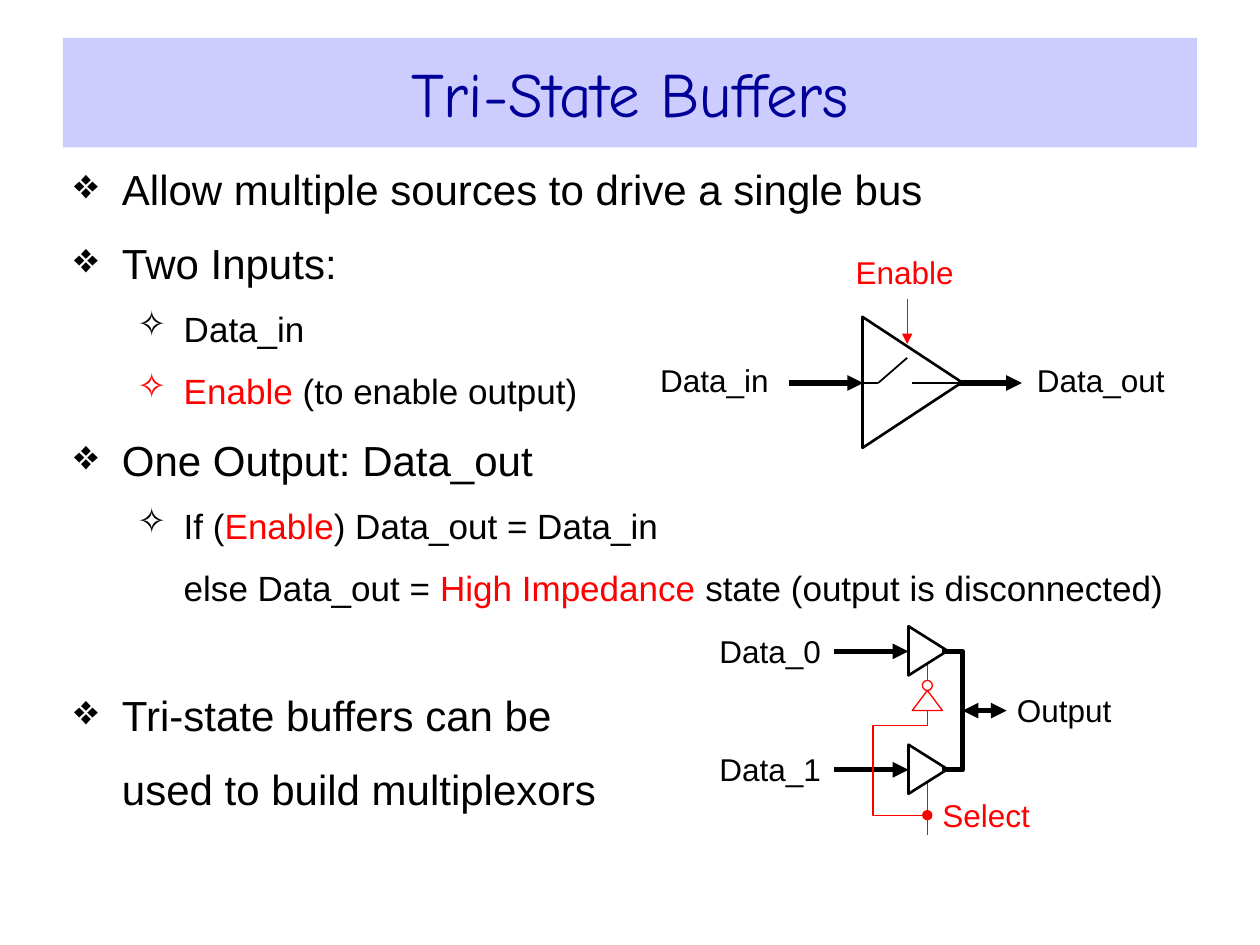
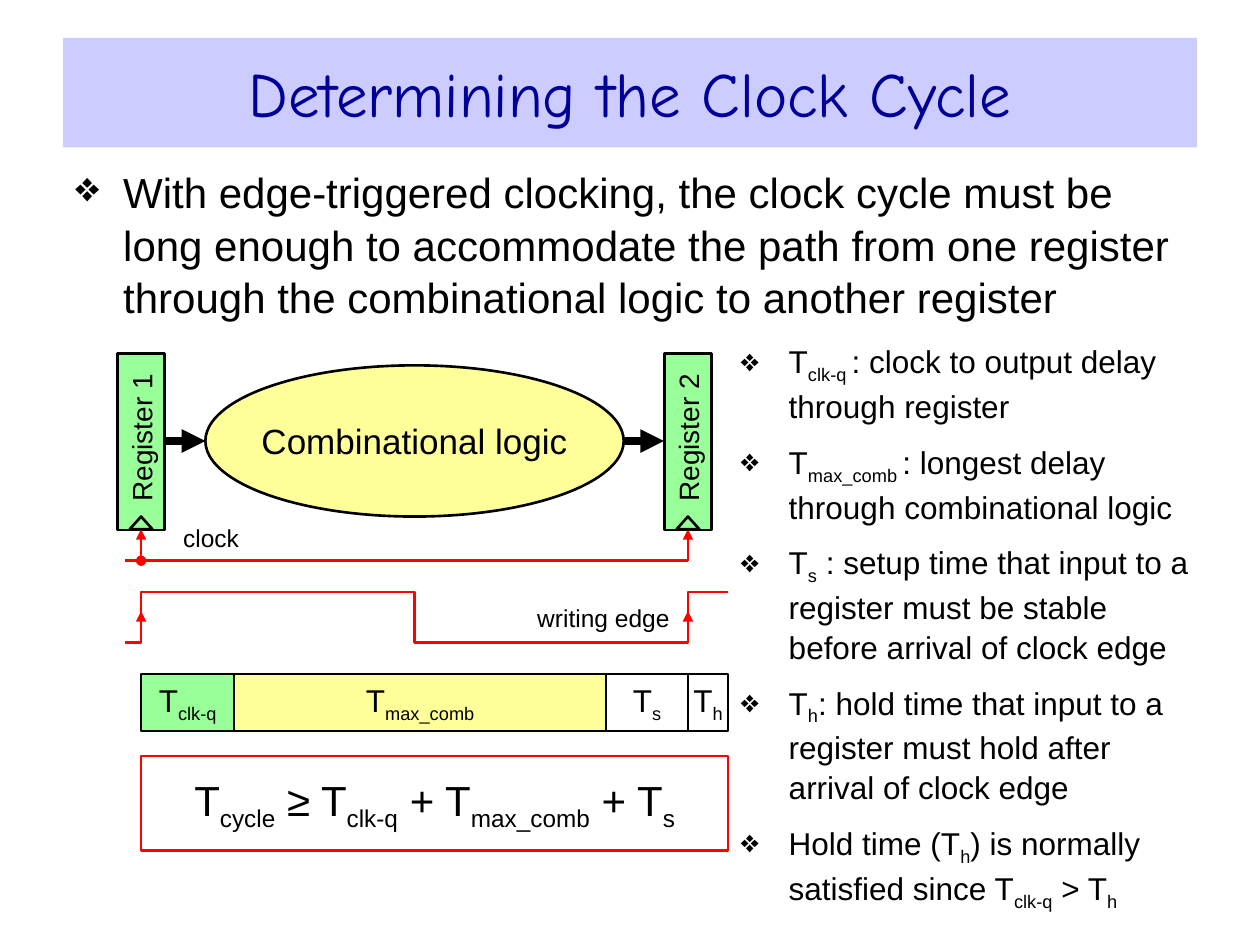
from dataclasses import dataclass
from typing import NamedTuple, Optional

from lxml import etree
from pptx import Presentation
from pptx.dml.color import RGBColor
from pptx.enum.shapes import MSO_CONNECTOR, MSO_SHAPE
from pptx.enum.text import MSO_ANCHOR, PP_ALIGN
from pptx.oxml.ns import qn
from pptx.util import Inches, Pt

RECT = MSO_SHAPE.RECTANGLE
OVAL = MSO_SHAPE.OVAL
GATE = MSO_SHAPE.ISOSCELES_TRIANGLE
LINE = MSO_CONNECTOR.STRAIGHT
LEFT = PP_ALIGN.LEFT
MID = PP_ALIGN.CENTER
TOP = MSO_ANCHOR.TOP
HALF = MSO_ANCHOR.MIDDLE


@dataclass(frozen=True)
class Theme:
    ink: str = "000000"
    red: str = "FF0000"
    white: str = "FFFFFF"
    green: str = "99FF99"
    cream: str = "FFFF99"
    band: str = "CCCCFF"
    navy: str = "000099"
    sans: str = "Arial"
    comic: str = "Comic Neue"
    title: int = 36
    body: int = 24
    item: int = 20
    label: int = 18
    reg: int = 16
    note: int = 14
    lead: float = 1.05


T = Theme()


class Run(NamedTuple):
    text: str
    color: str = T.ink
    sub: bool = False


class Box(NamedTuple):
    x: float
    y: float
    w: float
    h: float


@dataclass
class Para:
    runs: list[Run]
    size: int
    gap: float = 0
    left: float = 0
    hang: float = 0
    mark: str = ""
    align: PP_ALIGN = LEFT
    font: str = T.sans
    lead: Optional[float] = None


@dataclass
class Form:
    kind: MSO_SHAPE
    box: Box
    fill: Optional[str] = None
    line: Optional[str] = T.ink
    width: float = 1.5
    turn: int = 0


@dataclass
class Wire:
    points: list[tuple[float, float]]
    color: str = T.ink
    width: float = 3
    head: str = ""
    tail: str = ""


def paint(color: str) -> RGBColor:
    return RGBColor.from_string(color)


def place(box: Box) -> list[int]:
    return [Inches(side) for side in box]


def mark(para, item: Para) -> None:
    props = para._p.get_or_add_pPr()
    props.set("marL", str(Inches(item.left)))
    props.set("indent", str(Inches(-item.hang)))
    if item.mark:
        tint = etree.SubElement(props, qn("a:buClr"))
        etree.SubElement(tint, qn("a:srgbClr")).set("val", item.runs[0].color)
        etree.SubElement(props, qn("a:buChar")).set("char", item.mark)
    else:
        etree.SubElement(props, qn("a:buNone"))


def write(shape, items: list[Para], pad: tuple[float, float] = (0, 0),
          anchor: MSO_ANCHOR = HALF, wrap: bool = True) -> None:
    frame = shape.text_frame
    frame.word_wrap = wrap
    frame.vertical_anchor = anchor
    frame.margin_left = frame.margin_right = Inches(pad[0])
    frame.margin_top = frame.margin_bottom = Inches(pad[1])
    for spot, item in enumerate(items):
        para = frame.add_paragraph() if spot else frame.paragraphs[0]
        para.alignment = item.align
        para.space_before = Pt(item.gap if spot else 0)
        if item.lead:
            para.line_spacing = item.lead
        mark(para, item)
        for part in item.runs:
            run = para.add_run()
            run.text = part.text
            run.font.name = item.font
            run.font.size = Pt(item.size)
            run.font.color.rgb = paint(part.color)
            if part.sub:
                run._r.get_or_add_rPr().set("baseline", "-25000")


def draw(slide, form: Form):
    shape = slide.shapes.add_shape(form.kind, *place(form.box))
    shape.shadow.inherit = False
    shape.rotation = form.turn
    if form.fill:
        shape.fill.solid()
        shape.fill.fore_color.rgb = paint(form.fill)
    else:
        shape.fill.background()
    if form.line:
        shape.line.color.rgb = paint(form.line)
        shape.line.width = Pt(form.width)
    else:
        shape.line.fill.background()
    return shape


def link(slide, wire: Wire) -> None:
    spots = [(Inches(x), Inches(y)) for x, y in wire.points]
    if len(spots) == 2:
        shape = slide.shapes.add_connector(LINE, *spots[0], *spots[1])
        etree.SubElement(shape._element.spPr, qn("a:effectLst"))
    else:
        pen = slide.shapes.build_freeform(*spots[0])
        pen.add_line_segments(spots[1:], close=False)
        shape = pen.convert_to_shape()
        shape.shadow.inherit = False
        shape.fill.background()
    shape.line.color.rgb = paint(wire.color)
    shape.line.width = Pt(wire.width)
    edge = shape._element.spPr.find(qn("a:ln"))
    for tag, end in (("a:headEnd", wire.head), ("a:tailEnd", wire.tail)):
        if end:
            etree.SubElement(edge, qn(tag)).set("type", end)


def text(slide, box: Box, items: list[Para], **opts) -> None:
    write(slide.shapes.add_textbox(*place(box)), items, **opts)


def label(slide, box: Box, words: str, size: int = T.label,
          color: str = T.ink, align: PP_ALIGN = LEFT) -> None:
    text(slide, box, [Para([Run(words, color)], size, align=align)])


def start(deck, title: str):
    slide = deck.slides.add_slide(deck.slide_layouts[6])
    band = draw(slide, Form(RECT, Box(0.5, 0.3, 9, 0.87), T.band, None))
    write(band, [Para([Run(title, T.navy)], T.title, align=MID, font=T.comic)],
          pad=(0.1, 0.05))
    return slide


def main_point(*runs: Run, gap: float = 12, sign: str = "❖") -> Para:
    return Para(list(runs), T.body, gap, 0.38, 0.38 if sign else 0, sign, lead=T.lead)


def sub_point(*runs: Run, sign: str = "✧") -> Para:
    return Para(list(runs), T.item, 10, 0.87, 0.37 if sign else 0, sign, lead=T.lead)


def side_point(*runs: Run) -> Para:
    return Para(list(runs), T.label, 9, 0.38, 0.38, "❖", lead=T.lead)


def term(name: str, before: str = "") -> list[Run]:
    return [Run(before + "T"), Run(name, sub=True)]


def switch(slide) -> None:
    mid = 3.04
    draw(slide, Form(GATE, Box(6.72, 2.64, 1.04, 0.79), T.white, turn=90))
    for wire in (
        Wire([(6.26, mid), (6.85, mid)], tail="triangle"),
        Wire([(7.6, mid), (8.11, mid)], tail="triangle"),
        Wire([(6.85, mid), (6.97, mid)], width=1),
        Wire([(6.97, mid), (7.2, 2.84)], width=1),
        Wire([(7.24, mid), (7.64, mid)], width=1),
        Wire([(7.2, 2.37), (7.2, 2.73)], T.red, 0.75, tail="triangle"),
    ):
        link(slide, wire)
    label(slide, Box(5.24, 2.8, 1.06, 0.43), "Data_in")
    label(slide, Box(8.23, 2.8, 1.06, 0.43), "Data_out")
    label(slide, Box(6.65, 1.98, 1.06, 0.35), "Enable", color=T.red, align=MID)


def mux(slide) -> None:
    stem, bus = 7.36, 7.64
    rows = (5.17, 6.11)
    link(slide, Wire([(stem, 6.19), (stem, 6.63)], T.red, 0.75))
    link(slide, Wire([(stem, 5.25), (stem, 5.4)], T.red, 0.75))
    for num, y in enumerate(rows):
        draw(slide, Form(GATE, Box(7.17, y - 0.16, 0.39, 0.31), T.white, turn=90))
        link(slide, Wire([(6.62, y), (7.21, y)], tail="triangle"))
        label(slide, Box(5.71, y - 0.2, 0.91, 0.39), f"Data_{num}")
    draw(slide, Form(GATE, Box(7.24, 5.48, 0.24, 0.16), T.white, T.red, 0.75))
    draw(slide, Form(OVAL, Box(7.32, 5.4, 0.08, 0.08), T.white, T.red, 0.75))
    loop = [(stem, 5.64), (stem, 5.76), (6.93, 5.76), (6.93, 6.47), (stem, 6.47)]
    link(slide, Wire(loop, T.red, 0.75, tail="oval"))
    link(slide, Wire([(7.48, rows[0]), (bus, rows[0]), (bus, rows[1]), (7.48, rows[1])]))
    link(slide, Wire([(bus, 5.64), (7.99, 5.64)], head="triangle", tail="triangle"))
    label(slide, Box(8.07, 5.44, 0.91, 0.39), "Output")
    label(slide, Box(7.48, 6.27, 0.91, 0.39), "Select", color=T.red)


def buffers(deck) -> None:
    slide = start(deck, "Tri-State Buffers")
    text(slide, Box(0.49, 1.23, 9, 5.63), [
        main_point(Run("Allow multiple sources to drive a single bus")),
        main_point(Run("Two Inputs:")),
        sub_point(Run("Data_in")),
        sub_point(Run("Enable ", T.red), Run("(to enable output)")),
        main_point(Run("One Output: Data_out")),
        sub_point(Run("If ("), Run("Enable", T.red), Run(") Data_out = Data_in")),
        sub_point(Run("else Data_out = "), Run("High Impedance ", T.red),
                  Run("state (output is disconnected)"), sign=""),
        main_point(Run("Tri-state buffers can be"), gap=45),
        main_point(Run("used to build multiplexors"), sign=""),
    ], pad=(0.1, 0.05), anchor=TOP)
    switch(slide)
    mux(slide)


def stage(slide, edges: tuple[float, float]) -> None:
    logic = draw(slide, Form(OVAL, Box(1.63, 2.9, 3.32, 1.2), T.cream))
    write(logic, [Para([Run("Combinational logic")], T.item, align=MID)], wrap=False)
    for num, x in enumerate(edges, 1):
        reg = draw(slide, Form(RECT, Box(x - 0.7, 3.32, 1.4, 0.37), T.green, turn=270))
        write(reg, [Para([Run(f"Register {num}")], T.reg, align=MID)])
        reg.text_frame.margin_left = Inches(0.06)
        link(slide, Wire([(x, 4.45), (x, 4.2)], T.red, 1.5,
                         head="oval" if num == 1 else "", tail="triangle"))
        draw(slide, Form(GATE, Box(x - 0.09, 4.1, 0.18, 0.1), T.green))
    for x in (1.31, 4.95):
        link(slide, Wire([(x, 3.5), (x + 0.32, 3.5)], width=4.5, tail="triangle"))
    link(slide, Wire([(edges[1], 4.45), (0.99, 4.45)], T.red, 1.5))
    label(slide, Box(1.35, 4.1, 0.65, 0.33), "clock", T.note, align=MID)


def timing(slide, edges: tuple[float, float]) -> None:
    first, last = edges
    fall, high, low = 3.29, 4.7, 5.1
    wave = [(0.99, low), (first, low), (first, high), (fall, high),
            (fall, low), (last, low), (last, high), (5.78, high)]
    link(slide, Wire(wave, T.red, 1.5))
    for x in edges:
        link(slide, Wire([(x, 4.95), (x, 4.85)], T.red, 1, tail="triangle"))
    label(slide, Box(4.21, 4.75, 1.16, 0.3), "writing edge", T.note, align=MID)
    x = first
    for name, wide, fill in (("clk-q", 0.74, T.green), ("max_comb", 2.95, T.cream),
                             ("s", 0.65, None), ("h", 0.32, None)):
        cell = draw(slide, Form(RECT, Box(x, 5.35, wide, 0.45), fill, width=1))
        write(cell, [Para(term(name), T.label, align=MID)], wrap=False)
        x += wide


def cycle(deck) -> None:
    slide = start(deck, "Determining the Clock Cycle")
    edges = (1.12, 5.46)
    text(slide, Box(0.5, 1.25, 9, 5.63), [main_point(Run(
        "With edge-triggered clocking, the clock cycle must be long enough to "
        "accommodate the path from one register through the combinational logic "
        "to another register"))], pad=(0.1, 0.05), anchor=TOP)
    rule = draw(slide, Form(RECT, Box(1.12, 6, 4.66, 0.75), T.white, T.red))
    write(rule, [Para(term("cycle") + term("clk-q", " ≥ ") + term("max_comb", " + ")
                      + term("s", " + "), T.body, align=MID)], pad=(0, 0.05))
    stage(slide, edges)
    timing(slide, edges)
    text(slide, Box(5.88, 2.65, 3.61, 4.15), [
        side_point(*term("clk-q "), Run(": clock to output delay through register")),
        side_point(*term("max_comb "), Run(": longest delay through combinational logic")),
        side_point(*term("s"), Run(" : setup time that input to a register must be "
                                   "stable before arrival of clock edge")),
        side_point(*term("h"), Run(": hold time that input to a register must hold "
                                   "after arrival of clock edge")),
        side_point(*term("h", "Hold time ("), Run(") is normally satisfied since "),
                   *term("clk-q"), *term("h", " > ")),
    ], pad=(0, 0.05), anchor=TOP)


def main() -> None:
    deck = Presentation()
    deck.slide_width, deck.slide_height = Inches(10), Inches(7.5)
    buffers(deck)
    cycle(deck)
    deck.save("out.pptx")


if __name__ == "__main__":
    main()
